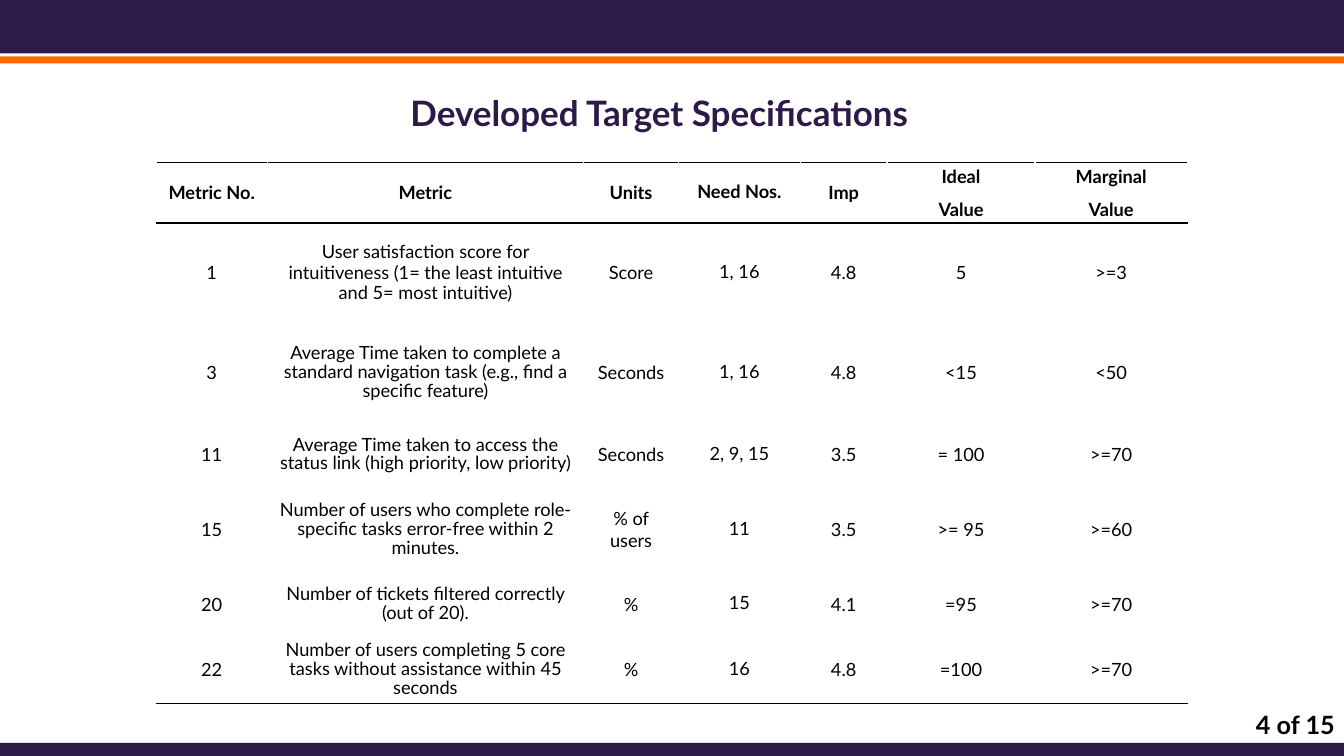
from lxml.etree import SubElement
from pptx import Presentation
from pptx.dml.color import RGBColor
from pptx.enum.shapes import MSO_SHAPE as Preset
from pptx.enum.text import MSO_ANCHOR as Anchor, MSO_AUTO_SIZE as AutoSize, PP_ALIGN as Align
from pptx.oxml.ns import qn
from pptx.util import Pt

COLOURS = {"purple": "2E1A47", "orange": "FD6900", "black": "000000"}
FONT = "Lato"
COLUMN_WIDTHS = [79.2, 226.1, 67.7, 87.1, 61.9, 105.8, 108.7]
ROW_HEIGHTS = [37.4, 71.3, 71.3, 46.1, 60.5, 46.1, 46.1]
METRIC_COLUMN, NEEDS_COLUMN = 1, 3
TIGHT_ROWS = (0, 2, 3)
TOP_RULED_ROWS, BOTTOM_RULED_ROWS = (0, 1), (0, 6)

SPECIFICATIONS = [
    ["Metric No.", "Metric", "Units", "Need Nos.", "Imp", "Ideal\nValue", "Marginal\nValue"],
    ["1", "User satisfaction score for intuitiveness (1= the least intuitive and 5= most intuitive)",
     "Score", "1, 16", "4.8", "5", ">=3"],
    ["3", "Average Time taken to complete a standard navigation task (e.g., find a specific feature)",
     "Seconds", "1, 16", "4.8", "<15", "<50"],
    ["11", "Average Time taken to access the status link (high priority, low priority)",
     "Seconds", "2, 9, 15", "3.5", "= 100", ">=70"],
    ["15", "Number of users who complete role-specific tasks error-free within 2 minutes.",
     "% of users", "11", "3.5", ">= 95", ">=60"],
    ["20", "Number of tickets filtered correctly (out of 20).",
     "%", "15", "4.1", "=95", ">=70"],
    ["22", "Number of users completing 5 core tasks without assistance within 45 seconds",
     "%", "16", "4.8", "=100", ">=70"],
]


def add_span(para, text, size, colour, bold):
    """Add one styled run to a paragraph."""
    span = para.add_run()
    span.text = text
    span.font.name = FONT
    span.font.size = Pt(size)
    span.font.bold = bold
    span.font.color.rgb = RGBColor.from_string(COLOURS[colour])


def add_band(page, top, height, colour):
    """Add a full-width bar."""
    band = page.shapes.add_shape(Preset.RECTANGLE, Pt(0), Pt(top), Pt(960), Pt(height))
    band.shadow.inherit = False
    band.fill.solid()
    band.fill.fore_color.rgb = RGBColor.from_string(COLOURS[colour])
    band.line.fill.background()


def add_label(page, left, top, width, height, text, size, colour, align):
    """Add a bold one-line text box."""
    box = page.shapes.add_textbox(Pt(left), Pt(top), Pt(width), Pt(height))
    box.text_frame.word_wrap = True
    box.text_frame.auto_size = AutoSize.SHAPE_TO_FIT_TEXT
    para = box.text_frame.paragraphs[0]
    para.alignment = align
    add_span(para, text, size, colour, True)


def add_rule(cell, side):
    """Draw a thin black border on one side of a cell."""
    properties = cell._tc.get_or_add_tcPr()
    line = SubElement(properties, qn(f"a:{side}"), w=str(Pt(1)))
    fill = SubElement(line, qn("a:solidFill"))
    SubElement(fill, qn("a:srgbClr"), val=COLOURS["black"])


def line_pitch(row, column):
    """Return the line spacing in points for a cell."""
    compact = column == NEEDS_COLUMN or (column == METRIC_COLUMN and row > 1)
    if row == 1:
        return 12.8 if compact else 14.7
    return 13.5 if compact else 15.5


def fill_cell(cell, row, column, text):
    """Write and style one table cell."""
    if row in TOP_RULED_ROWS:
        add_rule(cell, "lnT")
    if row in BOTTOM_RULED_ROWS:
        add_rule(cell, "lnB")
    cell.fill.background()
    cell.vertical_anchor = Anchor.MIDDLE
    if row in TIGHT_ROWS:
        cell.margin_left = cell.margin_right = Pt(4.3)
        cell.margin_top = cell.margin_bottom = Pt(2.2)
    frame = cell.text_frame
    for index, line in enumerate(text.split("\n")):
        para = frame.add_paragraph() if index else frame.paragraphs[0]
        para.alignment = Align.CENTER
        para.line_spacing = Pt(line_pitch(row, column))
        para.space_after = Pt(3.6 if column == NEEDS_COLUMN else 8)
        add_span(para, line, 13, "black", row == 0)


def add_specification_table(page, left, top):
    """Add the table of target specifications."""
    table = page.shapes.add_table(
        len(ROW_HEIGHTS), len(COLUMN_WIDTHS), Pt(left), Pt(top),
        Pt(sum(COLUMN_WIDTHS)), Pt(sum(ROW_HEIGHTS))).table
    table.first_row = table.horz_banding = False
    for column, width in zip(table.columns, COLUMN_WIDTHS):
        column.width = Pt(width)
    for row, height in zip(table.rows, ROW_HEIGHTS):
        row.height = Pt(height)
    for row, texts in enumerate(SPECIFICATIONS):
        for column, text in enumerate(texts):
            fill_cell(table.cell(row, column), row, column, text)


def main():
    """Build and save the slide."""
    deck = Presentation()
    deck.slide_width, deck.slide_height = Pt(960), Pt(540)
    page = deck.slides.add_slide(deck.slide_layouts[6])
    add_band(page, 0, 38.2, "purple")
    add_band(page, 40.3, 5, "orange")
    add_band(page, 530.6, 9.4, "purple")
    add_specification_table(page, 111.6, 115.9)
    add_label(page, 20.9, 61.9, 900, 37.4, "Developed Target Specifications", 25, "purple", Align.CENTER)
    add_label(page, 871.2, 503.3, 89.3, 28.8, "4 of 15", 18, "black", Align.RIGHT)
    deck.save("out.pptx")


if __name__ == "__main__":
    main()
